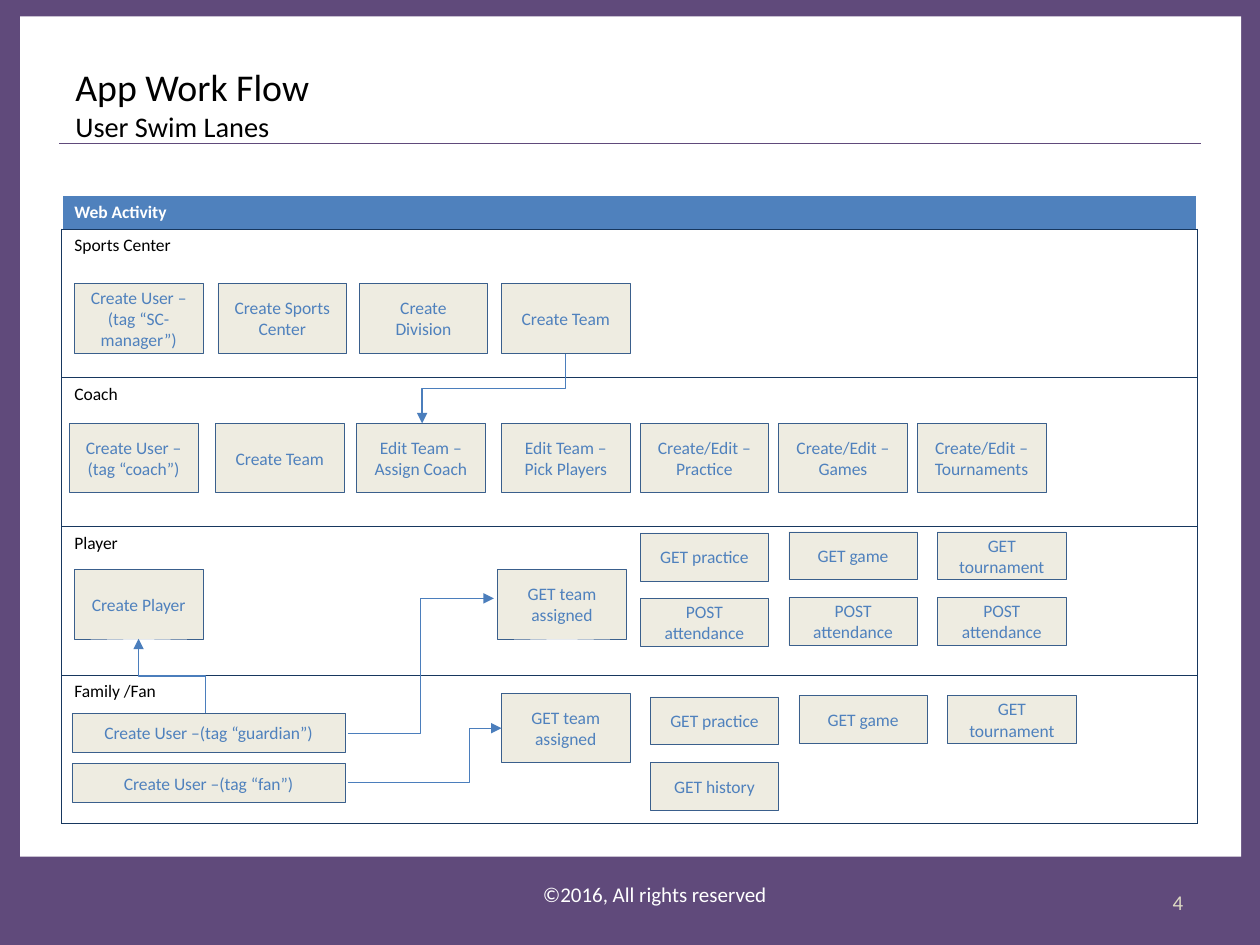
"""Build the app work flow slide with its user swim lanes."""
from lxml.etree import SubElement
from pptx import Presentation
from pptx.dml.color import RGBColor
from pptx.enum.shapes import MSO_CONNECTOR, MSO_SHAPE
from pptx.enum.text import MSO_ANCHOR, PP_ALIGN
from pptx.oxml.ns import qn
from pptx.util import Inches, Pt

COLORS = {
    "frame": "604A7B", "white": "FFFFFF", "black": "000000", "number": "DDD9C3",
    "header": "4F81BD", "border": "17375E", "step": "EEECE1",
    "outline": "3A5F8C", "arrow": "4B7EBC",
}
FONT = "Calibri"
LANES = ["Web Activity", "Sports Center", "Coach", "Player", "Family /Fan"]
HEADER_HEIGHT, LANE_HEIGHT, TABLE_WIDTH = 0.25, 1.18, 9.01

LARGE, SMALL, WIDE = (1.02, 0.55), (1.02, 0.38), (2.17, 0.31)
STEPS = [
    (LARGE, [
        (0.59, 2.25, "Create User –\n(tag “SC-manager”)"),
        (1.73, 2.25, "Create Sports Center"),
        (2.85, 2.25, "Create Division"),
        (3.98, 2.25, "Create Team"),
        (0.55, 3.36, "Create User –\n(tag “coach”)"),
        (1.71, 3.36, "Create Team"),
        (2.83, 3.36, "Edit Team – Assign Coach"),
        (3.98, 3.36, "Edit Team – Pick Players"),
        (5.08, 3.36, "Create/Edit –\nPractice"),
        (6.18, 3.36, "Create/Edit –\nGames"),
        (7.28, 3.36, "Create/Edit –\nTournaments"),
        (0.59, 4.52, "Create Player"),
        (3.95, 4.52, "GET team assigned"),
        (3.98, 5.5, "GET team assigned"),
    ]),
    (SMALL, [
        (5.08, 4.23, "GET practice"),
        (6.26, 4.22, "GET game"),
        (7.44, 4.22, "GET tournament"),
        (5.08, 4.75, "POST attendance"),
        (6.26, 4.74, "POST attendance"),
        (7.44, 4.74, "POST attendance"),
        (5.16, 5.53, "GET practice"),
        (6.34, 5.52, "GET game"),
        (7.52, 5.52, "GET tournament"),
        (5.16, 6.05, "GET history"),
    ]),
    (WIDE, [
        (0.57, 5.66, "Create User –(tag “guardian”)"),
        (0.57, 6.06, "Create User –(tag “fan”)"),
    ]),
]
ARROWS = [
    {"start": (4.49, 2.81), "end": (3.35, 3.36), "vertical": True},
    {"start": (2.76, 5.82), "end": (3.92, 4.75)},
    {"start": (1.63, 5.66), "end": (1.1, 5.07), "vertical": True},
    {"start": (2.76, 6.21), "end": (3.98, 5.78), "bend": 0.79},
]


def color(name):
    return RGBColor.from_string(COLORS[name])


def format_text(text_frame, size, color_name, alignment=None, bold=False):
    for paragraph in text_frame.paragraphs:
        paragraph.alignment = alignment
        for run in paragraph.runs:
            run.font.name = FONT
            run.font.size = Pt(size)
            run.font.bold = bold
            run.font.color.rgb = color(color_name)


def add_box(slide, left, top, width, height, fill, outline=None):
    shape = slide.shapes.add_shape(
        MSO_SHAPE.RECTANGLE, Inches(left), Inches(top), Inches(width), Inches(height))
    shape.shadow.inherit = False
    shape.fill.solid()
    shape.fill.fore_color.rgb = color(fill)
    if outline:
        shape.line.color.rgb = color(outline)
        shape.line.width = Pt(0.25)
    else:
        shape.line.fill.background()
    return shape


def add_text(slide, left, top, width, height, text, wrap=True):
    text_box = slide.shapes.add_textbox(
        Inches(left), Inches(top), Inches(width), Inches(height))
    text_frame = text_box.text_frame
    text_frame.word_wrap = wrap
    text_frame.text = text
    return text_frame


def add_line(slide, kind, start, end, line_color):
    connector = slide.shapes.add_connector(
        kind, *(Inches(value) for value in (*start, *end)))
    connector.line.color.rgb = color(line_color)
    connector.line.width = Pt(0.75)
    SubElement(connector._element.spPr, qn("a:effectLst"))
    return connector


def add_arrow(slide, start, end, vertical=False, bend=None):
    turn = 0
    if vertical:
        turn = 1 if end[1] > start[1] else -1
        center_x, center_y = ((a + b) / 2 for a, b in zip(start, end))
        start, end = (
            (center_x + turn * (y - center_y), center_y - turn * (x - center_x))
            for x, y in (start, end))
    connector = add_line(slide, MSO_CONNECTOR.ELBOW, start, end, "arrow")
    properties = connector._element.spPr
    if turn:
        properties.find(qn("a:xfrm")).set("rot", str(turn % 4 * 90 * 60000))
    if bend:
        guides = properties.find(qn("a:prstGeom")).find(qn("a:avLst"))
        SubElement(guides, qn("a:gd"), name="adj1", fmla=f"val {round(bend * 100000)}")
    SubElement(connector.line._get_or_add_ln(), qn("a:tailEnd"), type="triangle")


def add_border(cell, side, color_name, width):
    line = SubElement(cell._tc.get_or_add_tcPr(), qn(f"a:{side}"), w=str(Pt(width)))
    fill = SubElement(line, qn("a:solidFill"))
    SubElement(fill, qn("a:srgbClr"), val=COLORS[color_name])


def add_lanes(slide):
    heights = [HEADER_HEIGHT] + [LANE_HEIGHT] * (len(LANES) - 1)
    table = slide.shapes.add_table(
        len(LANES), 1, Inches(0.49), Inches(1.55),
        Inches(TABLE_WIDTH), Inches(sum(heights))).table
    table.horz_banding = False
    for index, (label, height) in enumerate(zip(LANES, heights)):
        header = index == 0
        table.rows[index].height = Inches(height)
        cell = table.cell(index, 0)
        cell.text_frame.text = label
        format_text(cell.text_frame, 10, "white" if header else "black", bold=header)
        for side in ("lnL", "lnR", "lnT", "lnB"):
            if header and side != "lnB":
                add_border(cell, side, "white", 1)
            else:
                add_border(cell, side, "border", 0.5)
        if header:
            cell.fill.solid()
            cell.fill.fore_color.rgb = color("header")
        else:
            cell.fill.background()


def main():
    presentation = Presentation()
    presentation.slide_width, presentation.slide_height = Inches(10), Inches(7.5)
    slide = presentation.slides.add_slide(presentation.slide_layouts[6])

    add_box(slide, 0, -0.03, 10, 7.53, "frame")
    add_box(slide, 0.16, 0.13, 9.69, 6.67, "white")
    add_line(slide, MSO_CONNECTOR.STRAIGHT, (0.47, 1.14), (9.53, 1.14), "frame")

    footer = add_text(slide, 4.21, 6.95, 2, 0.3, "©2016, All rights reserved", wrap=False)
    format_text(footer, 12, "white")
    title = add_text(slide, 0.5, 0.46, 9, 0.64, "App Work Flow\vUser Swim Lanes")
    format_text(title, 21.6, "black")
    title.paragraphs[0].runs[1].font.size = Pt(16.2)
    number = add_text(slide, 7.16, 6.96, 2.33, 0.4, "4")
    number.vertical_anchor = MSO_ANCHOR.MIDDLE
    format_text(number, 12, "number", PP_ALIGN.RIGHT)

    add_lanes(slide)
    for size, steps in STEPS:
        for left, top, label in steps:
            step = add_box(slide, left, top, *size, "step", "outline")
            step.text_frame.text = label
            step.text_frame.vertical_anchor = MSO_ANCHOR.MIDDLE
            format_text(step.text_frame, 10, "header", PP_ALIGN.CENTER)
    for arrow in ARROWS:
        add_arrow(slide, **arrow)

    presentation.save("out.pptx")


if __name__ == "__main__":
    main()
